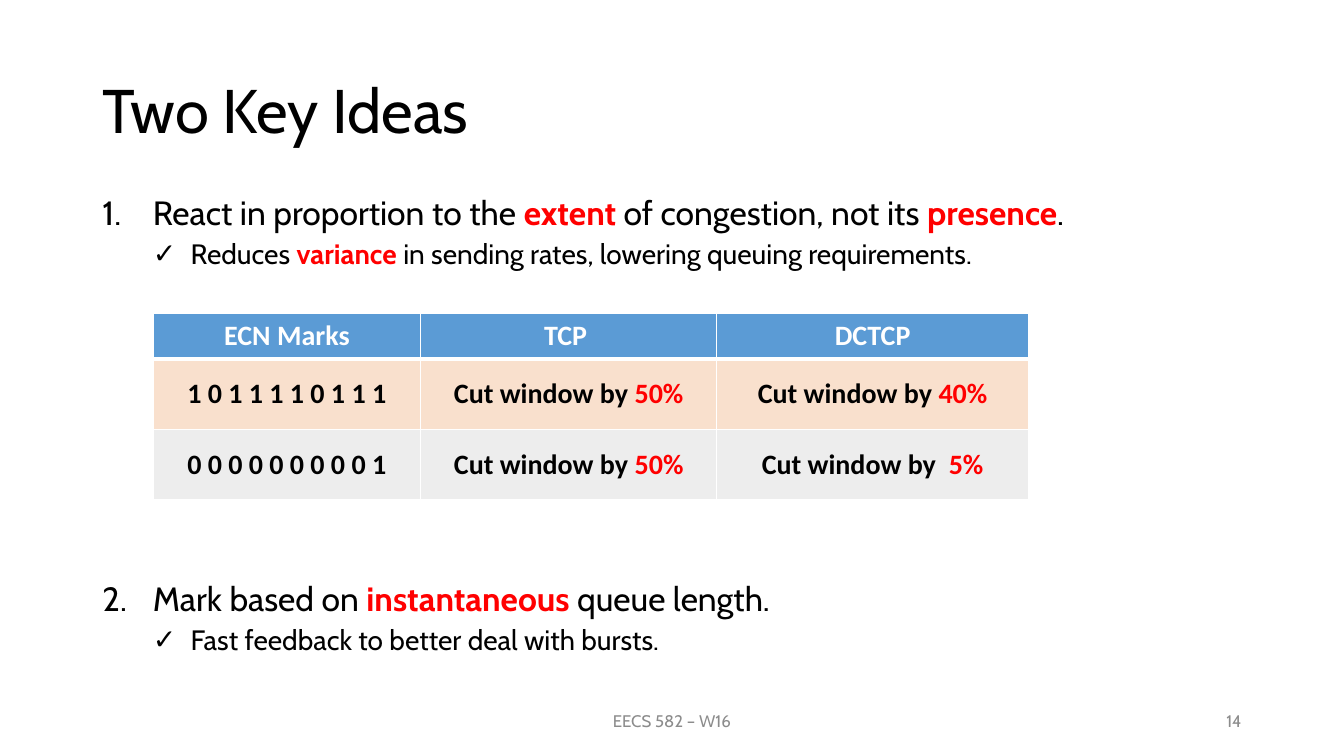
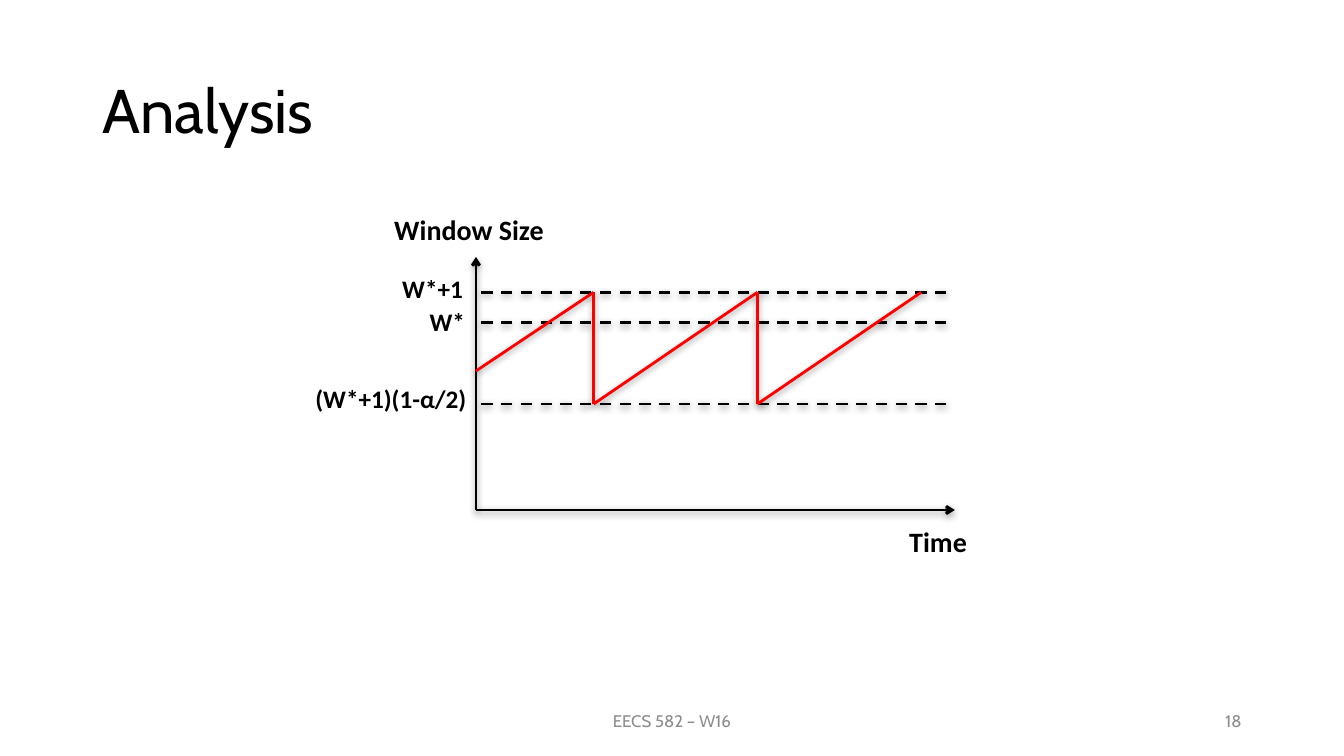
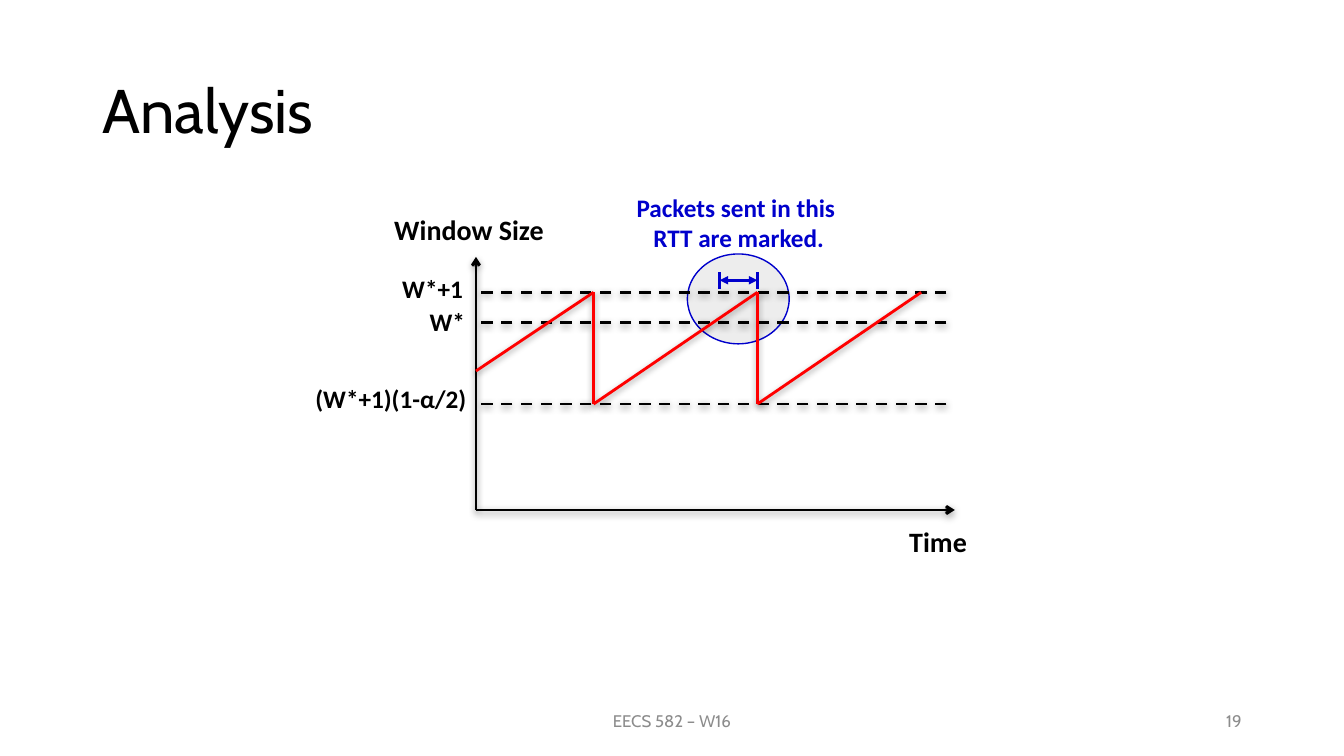
from lxml.etree import SubElement as Sub
from pptx import Presentation
from pptx.dml.color import RGBColor as RGB
from pptx.enum.dml import MSO_LINE as Dash
from pptx.enum.shapes import MSO_CONNECTOR as Conn, MSO_SHAPE as Shape
from pptx.enum.text import MSO_ANCHOR as Anchor, MSO_AUTO_SIZE as Fit, PP_ALIGN as Align
from pptx.oxml.ns import qn
from pptx.util import Pt


class Theme:
    black, white, grey = RGB(0, 0, 0), RGB(255, 255, 255), RGB(0x8C, 0x8C, 0x8C)
    red, blue = RGB(255, 0, 0), RGB(0, 0, 0xCC)
    head, peach, pale = RGB(0x5B, 0x9B, 0xD5), RGB(0xF9, 0xE0, 0xCD), RGB(0xED, 0xED, 0xED)
    slide, plot = "Cabin", "Calibri"
    title, idea, point, mark, foot = 44, 24, 20, 18, 12


def write(para, parts, size, color=Theme.black, face=Theme.slide, bold=False):
    """Add the parts as runs; every second one is stressed in bold red."""
    for i, part in enumerate(parts):
        run = para.add_run()
        run.text = part
        font = run.font
        font.name, font.size = face, Pt(size)
        font.bold = bold or i % 2 == 1
        font.color.rgb = Theme.red if i % 2 else color


def line(slide, start, end, color, dash=False, head=None, tail=None, shade=True):
    """Draw a straight line with optional dashes, arrowheads and soft shadow."""
    conn = slide.shapes.add_connector(Conn.STRAIGHT, *map(Pt, start + end))
    conn.line.color.rgb = color
    conn.line.width = Pt(2)
    if dash:
        conn.line.dash_style = Dash.DASH
    ln = conn.line._get_or_add_ln()
    for tag, kind in (("a:headEnd", head), ("a:tailEnd", tail)):
        if kind:
            Sub(ln, qn(tag), type=kind)
    effect = Sub(conn._element.spPr, qn("a:effectLst"))
    if shade:
        drop = Sub(effect, qn("a:outerShdw"), blurRad=str(Pt(5)), dist=str(Pt(1.6)),
                   dir="5400000", rotWithShape="0")
        tint = Sub(drop, qn("a:srgbClr"), val=str(Theme.black))
        Sub(tint, qn("a:alpha"), val="38000")


deck = Presentation()
deck.slide_width, deck.slide_height = Pt(960), Pt(540)

# Slides with title and footer; the plots add their labels
left, base, top, right = 340, 364.3, 183.5, 682
peak, goal, low = 208.8, 230.6, 288.6
drops = [424, 541, 658]
names = [
    (642.4, 371, 117, 31.7, "Time", Theme.point),
    (274.5, 147.6, 145.4, 31.7, "Window Size", Theme.point),
    (280.2, 192, 134, 28.8, "W*+1", Theme.mark),
    (299.8, 215, 59, 28.8, "W*", Theme.mark),
    (218.2, 270, 134, 28.8, "(W*+1)(1-α/2)", Theme.mark),
]
pages = [("14", "Two Key Ideas"), ("18", "Analysis"), ("19", "Analysis")]
slides = []
for number, title in pages:
    plot, marked = number != "14", number == "19"
    slide = deck.slides.add_slide(deck.slide_layouts[5 if plot else 1])
    slides.append(slide)

    # Title
    head = slide.shapes.title
    head.left, head.top, head.width, head.height = map(Pt, (66, 28.8, 828, 104.4))
    head.text_frame.vertical_anchor = Anchor.MIDDLE
    para = head.text_frame.paragraphs[0]
    para.alignment, para.line_spacing = Align.LEFT, 0.9
    write(para, [title], Theme.title)

    # Text boxes: place, words, size, colour, face, bold, alignment
    foot = (Theme.foot, Theme.grey, Theme.slide, False)
    texts = [(318, 500.4, 324, 28.8, "EECS 582 – W16", *foot, Align.CENTER),
             (678, 500.4, 216, 28.8, number, *foot, Align.RIGHT)]
    if plot:
        texts += [(*name, Theme.black, Theme.plot, True, Align.LEFT) for name in names]
    if marked:
        texts.append((437, 133.2, 181.4, 51, "Packets sent in this \nRTT are marked.",
                      Theme.mark, Theme.blue, Theme.plot, True, Align.CENTER))

        # Marked round trip
        ring = slide.shapes.add_shape(Shape.OVAL, *map(Pt, (491, 181.4, 72.7, 64.2)))
        ring.shadow.inherit = False
        ring.fill.solid()
        ring.fill.fore_color.rgb = Theme.pale
        ring.line.color.rgb = Theme.blue
        ring.line.width = Pt(1)
        for x in (514, 541):
            line(slide, (x, 206.6), (x, 194.4), Theme.blue, shade=False)
        line(slide, (514, 200.2), (541, 200.2), Theme.blue,
             head="triangle", tail="triangle", shade=False)

    for x, y, w, h, words, size, color, face, bold, align in texts:
        frame = slide.shapes.add_textbox(*map(Pt, (x, y, w, h))).text_frame
        frame.word_wrap, frame.vertical_anchor = True, Anchor.MIDDLE
        for i, row in enumerate(words.split("\n")):
            para = frame.add_paragraph() if i else frame.paragraphs[0]
            para.alignment = align
            write(para, [row], size, color, face, bold)

    # Axes, levels and sawtooth
    if plot:
        for end in ((left, top), (right, base)):
            line(slide, (left, base), end, Theme.black, tail="arrow")
        for y in (peak, goal, low):
            line(slide, (676, y), (left, y), Theme.black, dash=True)
        spot = (left, 265)
        for x in drops:
            line(slide, spot, (x, peak), Theme.red)
            spot = (x, low)
            if x != drops[-1]:
                line(slide, (x, peak), spot, Theme.red)

# Key ideas: level, space before, parts
ideas = [
    (0, 0, ["React in proportion to the ", "extent", " of congestion, not its ", "presence", "."]),
    (1, 5, ["Reduces ", "variance ", "in sending rates, lowering queuing requirements."]),
    (0, 223.3, ["Mark based on ", "instantaneous", " queue length."]),
    (1, 5, ["Fast feedback to better deal with bursts."]),
]
slide = slides[0]
body = slide.placeholders[1]
body.left, body.top, body.width, body.height = map(Pt, (66, 140.5, 794, 340))
frame = body.text_frame
frame.auto_size, frame.vertical_anchor, frame.margin_top = Fit.NONE, Anchor.TOP, 0
count = 0
for i, (level, gap, parts) in enumerate(ideas):
    para = frame.add_paragraph() if i else frame.paragraphs[0]
    para.level, para.line_spacing, para.space_before = level, 0.9, Pt(gap)
    props = para._p.get_or_add_pPr()
    props.set("marL", str(Pt(63 if level else 36)))
    props.set("indent", str(Pt(-27 if level else -36)))
    Sub(props, qn("a:buFont"), typeface=Theme.slide)
    if level:
        Sub(props, qn("a:buChar"), char="✓")
    else:
        count += 1
        Sub(props, qn("a:buAutoNum"), type="arabicPeriod", startAt=str(count))
    write(para, parts, Theme.point if level else Theme.idea)

# Table of window cuts: height, fill, text colour, cells
rows = [
    (32.4, Theme.head, Theme.white, [["ECN Marks"], ["TCP "], ["DCTCP"]]),
    (50.4, Theme.peach, Theme.black,
     [["1 0 1 1 1 1 0 1 1 1"], ["Cut window by ", "50%"], ["Cut window by ", "40%"]]),
    (50.4, Theme.pale, Theme.black,
     [["0 0 0 0 0 0 0 0 0 1"], ["Cut window by", " 50%"], ["Cut window by  ", "5%"]]),
]
table = slide.shapes.add_table(3, 3, *map(Pt, (109.6, 224, 625, 133.2))).table
table.first_row = table.horz_banding = False
for col, width in zip(table.columns, (190.8, 211.7, 222.5)):
    col.width = Pt(width)
for r, (height, fill, color, cells) in enumerate(rows):
    table.rows[r].height = Pt(height)
    for c, parts in enumerate(cells):
        cell = table.cell(r, c)
        cell.vertical_anchor = Anchor.MIDDLE
        cell.margin_left = cell.margin_right = Pt(8.6)
        cell.margin_top = cell.margin_bottom = Pt(4)
        for side in "LRTB":
            thick = (r, side) in ((0, "B"), (1, "T"))
            edge = Sub(cell._tc.get_or_add_tcPr(), qn("a:ln" + side), w=str(Pt(3 if thick else 1)))
            Sub(Sub(edge, qn("a:solidFill")), qn("a:srgbClr"), val=str(Theme.white))
        cell.fill.solid()
        cell.fill.fore_color.rgb = fill
        para = cell.text_frame.paragraphs[0]
        para.alignment = Align.CENTER
        write(para, parts, Theme.point, color, Theme.plot, True)

deck.save("out.pptx")
